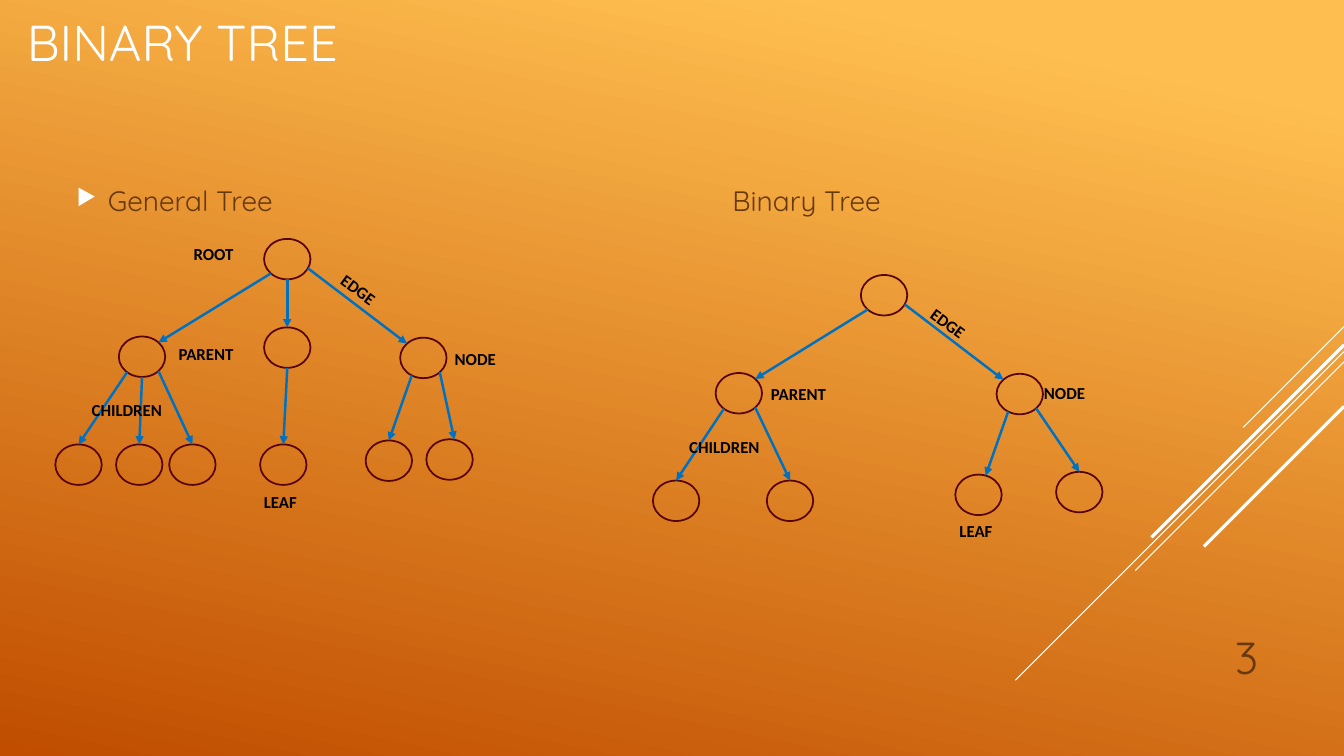
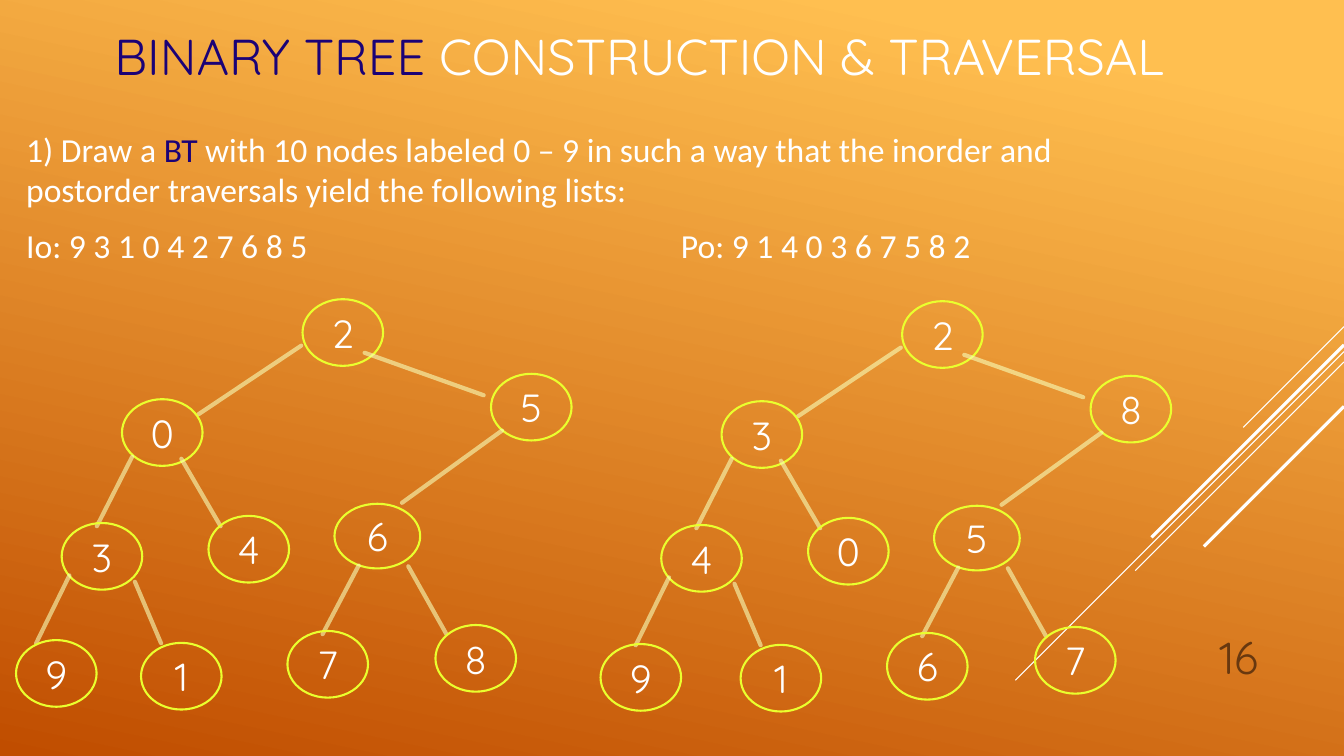
from math import cos, radians, sin

from lxml.etree import SubElement
from pptx import Presentation
from pptx.dml.color import RGBColor
from pptx.enum.shapes import MSO_CONNECTOR, MSO_SHAPE
from pptx.enum.text import MSO_ANCHOR as Anchor, PP_ALIGN as Align
from pptx.oxml.ns import qn
from pptx.util import Cm, Pt

# Shared style
WHITE = RGBColor(0xFF, 0xFF, 0xFF)
BLACK = RGBColor(0x00, 0x00, 0x00)
AMBER = RGBColor(0xFF, 0xBF, 0x50)
RUST = RGBColor(0xC0, 0x4D, 0x00)
BROWN = RGBColor(0x68, 0x38, 0x0F)
MAROON = RGBColor(0x57, 0x04, 0x02)
BLUE = RGBColor(0x00, 0x70, 0xC0)
NAVY = RGBColor(0x1B, 0x02, 0x76)
YELLOW = RGBColor(0xEA, 0xFF, 0x2E)
CREAM = RGBColor(0xF8, 0xFF, 0xB9)
HEAD_FONT, TEXT_FONT = "Quicksand", "Calibri"
WIDTH, HEIGHT = 33.87, 19.05

# Diagonal rays at the right edge: top, run, weight
RAYS = [(8.23, 2.54, 0.75), (8.86, 8.28, 0.75), (9.12, 5.26, 0.75),
        (8.69, 4.85, 2.25), (10.24, 3.53, 2.25)]

# Slide 1: node centres, then edges as (from, to, leaving angle, arriving angle),
# with angles in degrees clockwise from the right
NODE_SIZE = (1.17, 1.02)
GENERAL = {
    "heading": ("General Tree", 1.68, True),
    "nodes": {
        "root": (7.24, 6.53),
        "parent": (3.58, 8.99), "middle": (7.24, 8.76), "node": (10.67, 9.02),
        "child 1": (1.98, 11.71), "child 2": (3.51, 11.71), "child 3": (4.85, 11.71),
        "leaf": (7.14, 11.71), "left": (9.8, 11.61), "right": (11.33, 11.58),
    },
    "edges": [
        ("root", "parent", 135, -45), ("root", "middle", 90, -90),
        ("root", "node", 27, -135), ("middle", "leaf", 90, -90),
        ("parent", "child 1", 130, -90), ("parent", "child 2", 90, -90),
        ("parent", "child 3", 45, -90),
        ("node", "left", 120, -90), ("node", "right", 45, -78),
    ],
    "labels": {"ROOT": (4.88, 6.15), "NODE": (11.46, 8.79), "LEAF": (6.65, 12.4),
               "CHILDREN": (2.31, 10.08), "EDGE": (8.53, 7.14), "PARENT": (4.5, 8.66)},
}
BINARY = {
    "heading": ("Binary Tree", 18.21, False),
    "nodes": {
        "root": (22.28, 7.44), "parent": (18.62, 9.91), "node": (25.7, 9.93),
        "child 1": (17.04, 12.62), "child 2": (19.91, 12.62),
        "leaf": (24.66, 12.47), "right": (27.2, 12.4),
    },
    "edges": [
        ("root", "parent", 135, -45), ("root", "node", 27, -135),
        ("parent", "child 1", 130, -90), ("parent", "child 2", 45, -90),
        ("node", "leaf", 120, -72), ("node", "right", 45, -90),
    ],
    "labels": {"NODE": (26.31, 9.65), "LEAF": (24.18, 13.13),
               "CHILDREN": (17.37, 11), "EDGE": (23.39, 7.98), "PARENT": (19.43, 9.68)},
}
LABEL_WIDTHS = {"ROOT": 1.57, "NODE": 1.5, "LEAF": 1.17,
                "CHILDREN": 2.39, "EDGE": 1.27, "PARENT": 1.8}
EDGE_TILT = 36.5

# Slide 2: exercise text and the tree layout that both answers share
EXERCISE = [
    [("1) Draw a ", WHITE), ("BT", NAVY),
     (" with 10 nodes labeled 0 – 9 in such a way that the inorder and "
      "postorder traversals yield the following lists:", WHITE)],
    [("Io: 9 3 1 0 4 2 7 6 8 5\tPo: 9 1 4 0 3 6 7 5 8 2", WHITE)],
]
PO_TAB = 16.5
DIGIT_SIZE, WIDE_DIGIT_SIZE = (2.03, 1.68), (2.16, 1.63)
# Centre, branch to the parent, digits in the two trees
SPOTS = [
    ((8.64, 8.38), None, "22"),
    ((4.09, 10.9), (5, 10.44, 7.59, 8.71), "03"),
    ((13.39, 10.26), (9.19, 8.89, 12.19, 9.96), "58"),
    ((2.57, 14.02), (2.44, 13.26, 3.33, 11.51), "34"),
    ((6.27, 13.84), (5.56, 13.26, 4.57, 11.56), "40"),
    ((9.51, 13.51), (10.13, 12.67, 12.65, 10.85), "65"),
    ((1.42, 16.97), (0.91, 16.21, 1.75, 14.5), "99"),
    ((4.57, 17.04), (4.06, 16.21, 3.4, 14.66), "11"),
    ((8.26, 16.74), (8.13, 15.98, 9.04, 14.25), "76"),
    ((11.99, 16.59), (11.25, 15.98, 10.29, 14.27), "87"),
]
TREE_OFFSETS = [(0, 0), (15.11, 0.05)]
SECOND_NINE_SHIFT = (-0.38, 0.05)


def add_runs(paragraph, runs, size, font, bold=False):
    for words, colour in runs:
        run = paragraph.add_run()
        run.text = words
        run.font.size, run.font.name, run.font.bold = Pt(size), font, bold
        run.font.color.rgb = colour


def add_text(slide, box, paragraphs, size, font, align=Align.LEFT,
             anchor=Anchor.TOP, bold=False, inset=True):
    """Place a text box; each paragraph is a list of (words, colour)."""
    holder = slide.shapes.add_textbox(*map(Cm, box))
    frame = holder.text_frame
    frame.word_wrap, frame.vertical_anchor = True, anchor
    if not inset:
        frame.margin_left = frame.margin_right = 0
        frame.margin_top = frame.margin_bottom = 0
    for i, runs in enumerate(paragraphs):
        paragraph = frame.add_paragraph() if i else frame.paragraphs[0]
        paragraph.alignment = align
        add_runs(paragraph, runs, size, font, bold)
    return holder


def space_body(holder, size):
    for paragraph in holder.text_frame.paragraphs:
        paragraph.space_before, paragraph.space_after = Pt(size * 0.2), Pt(6)


def add_line(slide, ends, colour, weight, arrow=False, opacity=None):
    line = slide.shapes.add_connector(MSO_CONNECTOR.STRAIGHT, *map(Cm, ends))
    line.line.color.rgb, line.line.width = colour, Pt(weight)
    props = line.line._get_or_add_ln()
    if opacity:
        props.set("cap", "rnd")
        SubElement(props.find(".//" + qn("a:srgbClr")), qn("a:alpha"),
                   val=str(opacity * 1000))
    if arrow:
        SubElement(props, qn("a:tailEnd"), type="triangle")
    SubElement(line._element.spPr, qn("a:effectLst"))


def add_node(slide, centre, size, colour, weight, digit=None):
    (x, y), (w, h) = centre, size
    node = slide.shapes.add_shape(MSO_SHAPE.OVAL, Cm(x - w / 2), Cm(y - h / 2),
                                  Cm(w), Cm(h))
    node.shadow.inherit = False
    node.fill.background()
    node.line.color.rgb, node.line.width = colour, Pt(weight)
    if digit:
        frame = node.text_frame
        frame.vertical_anchor = Anchor.MIDDLE
        frame.paragraphs[0].alignment = Align.CENTER
        add_runs(frame.paragraphs[0], [(digit, WHITE)], 28, HEAD_FONT)


def rim_point(centre, angle):
    """Point on a slide 1 node's outline."""
    turn = radians(angle)
    return (centre[0] + NODE_SIZE[0] / 2 * cos(turn),
            centre[1] + NODE_SIZE[1] / 2 * sin(turn))


def start_slide(prs, title, title_box, title_align, number):
    slide = prs.slides.add_slide(prs.slide_layouts[6])
    for top, run, weight in RAYS:
        add_line(slide, (WIDTH, top, WIDTH - run, top + run), WHITE, weight)
    add_text(slide, title_box, [title], 36, HEAD_FONT, title_align, Anchor.MIDDLE)
    add_text(slide, (28.78, 15.49, 3.18, 1.85), [[(number, BROWN)]], 32,
             HEAD_FONT, Align.RIGHT, Anchor.BOTTOM)
    return slide


def draw_labelled_tree(slide, tree):
    words, left, bulleted = tree["heading"]
    heading = add_text(slide, (left, 4.5, 10, 1.2), [[(words, BROWN)]], 20, HEAD_FONT)
    space_body(heading, 20)
    if bulleted:
        props = heading.text_frame.paragraphs[0]._p.get_or_add_pPr()
        props.set("marL", str(Cm(0.79)))
        props.set("indent", str(-Cm(0.79)))
        SubElement(SubElement(props, qn("a:buClr")), qn("a:srgbClr"), val=str(WHITE))
        SubElement(props, qn("a:buSzPct"), val="80000")
        SubElement(props, qn("a:buChar"), char="▶")
    nodes = tree["nodes"]
    for centre in nodes.values():
        add_node(slide, centre, NODE_SIZE, MAROON, 1.25)
    for start, end, leaving, arriving in tree["edges"]:
        ends = rim_point(nodes[start], leaving) + rim_point(nodes[end], arriving)
        add_line(slide, ends, BLUE, 1.75, arrow=True)
    for word, (x, y) in tree["labels"].items():
        label = add_text(slide, (x, y, LABEL_WIDTHS[word], 0.51), [[(word, BLACK)]],
                         12, TEXT_FONT, bold=True, inset=False)
        if word == "EDGE":
            label.rotation = EDGE_TILT


def draw_digit_tree(slide, which):
    dx, dy = TREE_OFFSETS[which]
    for (x, y), branch, digits in SPOTS:
        if branch:
            x1, y1, x2, y2 = branch
            add_line(slide, (x1 + dx, y1 + dy, x2 + dx, y2 + dy), CREAM, 3, opacity=60)
        digit = digits[which]
        sx, sy = SECOND_NINE_SHIFT if which and digit == "9" else (0, 0)
        size = WIDE_DIGIT_SIZE if digits == "65" else DIGIT_SIZE
        add_node(slide, (x + dx + sx, y + dy + sy), size, YELLOW, 1.5, digit)


def main():
    prs = Presentation()
    prs.slide_width, prs.slide_height = Cm(WIDTH), Cm(HEIGHT)

    # Background for every slide
    fill = prs.slide_master.background.fill
    fill.gradient()
    fill.gradient_angle = 360 - 102
    for stop, colour, position in zip(fill.gradient_stops, (AMBER, RUST), (0.1, 1)):
        stop.color.rgb, stop.position = colour, position

    # General and binary trees
    slide = start_slide(prs, [("BINARY TREE", WHITE)], (0.43, 0, 23.7, 2.11),
                        Align.LEFT, "3")
    for tree in (GENERAL, BINARY):
        draw_labelled_tree(slide, tree)

    # Construction exercise
    slide = start_slide(
        prs, [("BINARY TREE ", NAVY), ("CONSTRUCTION & TRAVERSAL", WHITE)],
        (1.57, 0, 28.02, 2.77), Align.RIGHT, "16")
    exercise = add_text(slide, (0.41, 3.12, 28.32, 10.03), EXERCISE, 24, TEXT_FONT)
    space_body(exercise, 24)
    lists = exercise.text_frame.paragraphs[-1]._p.get_or_add_pPr()
    SubElement(SubElement(lists, qn("a:tabLst")), qn("a:tab"),
               pos=str(Cm(PO_TAB)), algn="l")
    for which in range(len(TREE_OFFSETS)):
        draw_digit_tree(slide, which)

    prs.save("out.pptx")


if __name__ == "__main__":
    main()
